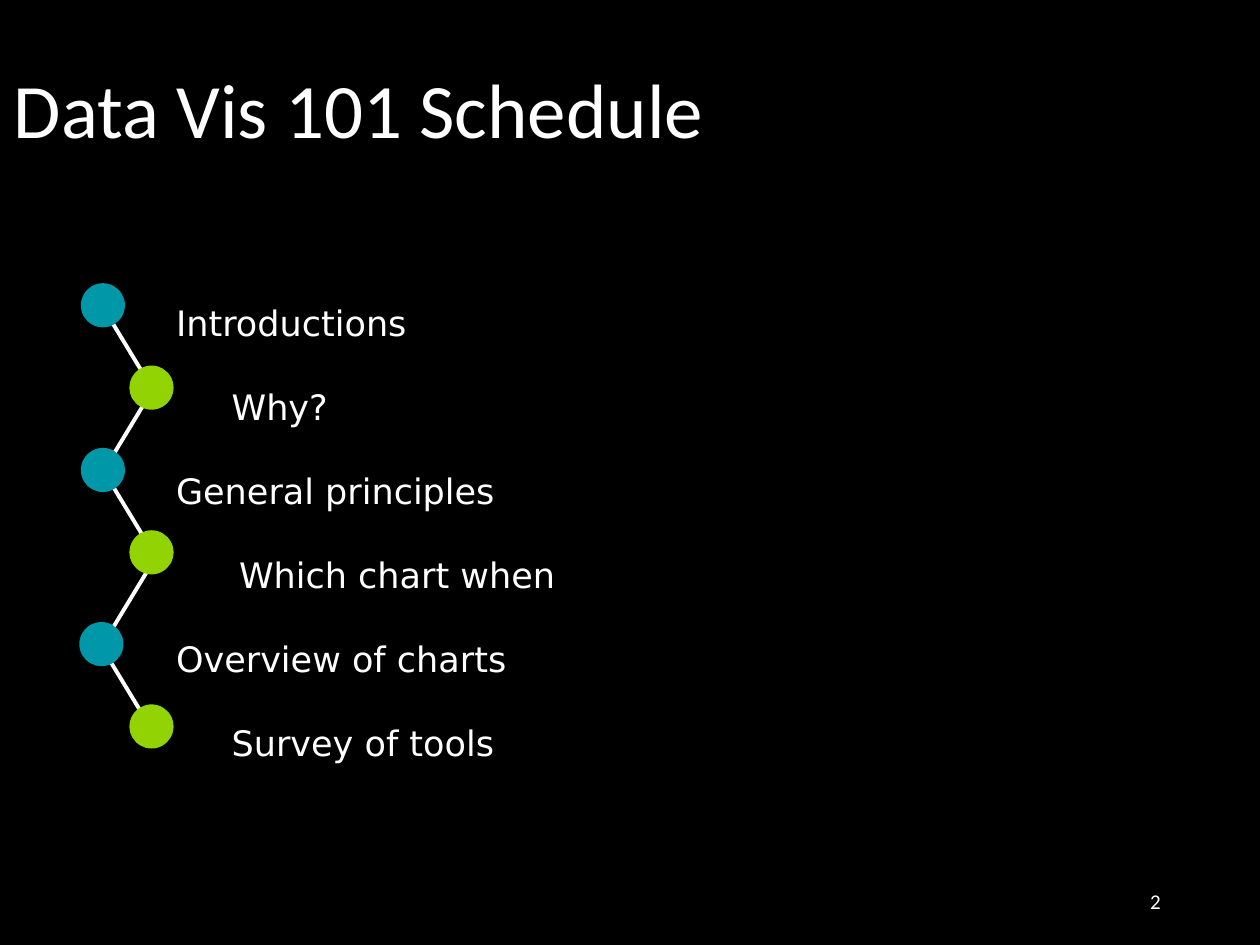
from dataclasses import dataclass

from lxml import etree
from pptx import Presentation
from pptx.dml.color import RGBColor
from pptx.enum.shapes import MSO_CONNECTOR, MSO_SHAPE
from pptx.enum.text import MSO_ANCHOR, PP_ALIGN
from pptx.oxml.ns import qn
from pptx.slide import Slide
from pptx.text.text import TextFrame, _Paragraph
from pptx.util import Cm, Pt

OVAL = MSO_SHAPE.OVAL
STRAIGHT = MSO_CONNECTOR.STRAIGHT
MIDDLE = MSO_ANCHOR.MIDDLE
RIGHT = PP_ALIGN.RIGHT

BLACK = RGBColor(0x00, 0x00, 0x00)
WHITE = RGBColor(0xFF, 0xFF, 0xFF)
TEAL = RGBColor(0x00, 0x97, 0xA9)
GREEN = RGBColor(0x92, 0xD4, 0x03)

DOT_SIZE = 0.89
LINK_WIDTH, LINK_HEIGHT = 0.97, 1.6


@dataclass(frozen=True)
class Topic:
    """One schedule entry and its dot; lengths in centimetres."""
    label: str
    indent: float
    dot_left: float
    dot_top: float
    color: RGBColor


@dataclass(frozen=True)
class Link:
    """Box of one zigzag line; lengths in centimetres."""
    left: float
    top: float


TOPICS = [
    Topic("Introductions", 0, 1.63, 5.71, TEAL),
    Topic("Why?", 1.12, 2.61, 7.37, GREEN),
    Topic("General principles", 0, 1.63, 9.03, TEAL),
    Topic("Which chart when", 1.27, 2.61, 10.69, GREEN),
    Topic("Overview of charts", 0, 1.6, 12.54, TEAL),
    Topic("Survey of tools", 1.12, 2.61, 14.2, GREEN),
]
LINKS = [
    Link(2.11, 6.25),
    Link(2.13, 7.82),
    Link(2.11, 9.53),
    Link(2.11, 11.33),
    Link(2.06, 13.06),
]


def add_text_box(slide: Slide, left: float, top: float,
                 width: float, height: float) -> TextFrame:
    box = slide.shapes.add_textbox(Cm(left), Cm(top), Cm(width), Cm(height))
    box.text_frame.word_wrap = True
    return box.text_frame


def add_run(paragraph: _Paragraph, text: str, size: float, font: str) -> None:
    run = paragraph.add_run()
    run.text = text
    run.font.size = Pt(size)
    run.font.name = font
    run.font.color.rgb = WHITE


def add_link(slide: Slide, link: Link, goes_right: bool) -> None:
    near, far = link.left, link.left + LINK_WIDTH
    start, end = (near, far) if goes_right else (far, near)
    line = slide.shapes.add_connector(
        STRAIGHT, Cm(start), Cm(link.top), Cm(end), Cm(link.top + LINK_HEIGHT))
    line.line.color.rgb = WHITE
    line.line.width = Pt(2.25)
    etree.SubElement(line._element.spPr, qn("a:effectLst"))


def add_dot(slide: Slide, topic: Topic) -> None:
    dot = slide.shapes.add_shape(
        OVAL, Cm(topic.dot_left), Cm(topic.dot_top), Cm(DOT_SIZE), Cm(DOT_SIZE))
    dot.shadow.inherit = False
    dot.fill.solid()
    dot.fill.fore_color.rgb = topic.color
    dot.line.fill.background()


def add_topic_list(slide: Slide) -> None:
    frame = add_text_box(slide, 3.3, 5.31, 19.81, 12.95)
    for index, topic in enumerate(TOPICS):
        paragraph = frame.add_paragraph() if index else frame.paragraphs[0]
        paragraph.line_spacing = 1.75
        if index:
            paragraph.space_before = Pt(6)
        if topic.indent:
            properties = paragraph._p.get_or_add_pPr()
            properties.set("marL", str(Cm(topic.indent)))
            properties.set("indent", "0")
        add_run(paragraph, topic.label, 20, "DejaVu Sans")


def main() -> None:
    presentation = Presentation()
    presentation.slide_width = Cm(25.4)
    presentation.slide_height = Cm(19.05)
    slide = presentation.slides.add_slide(presentation.slide_layouts[6])
    slide.background.fill.solid()
    slide.background.fill.fore_color.rgb = BLACK

    title = add_text_box(slide, 0.03, 0.46, 21.89, 3.68)
    title.vertical_anchor = MIDDLE
    title.paragraphs[0].line_spacing = 0.9
    add_run(title.paragraphs[0], "Data Vis 101 Schedule", 44, "Calibri")

    add_topic_list(slide)
    for index, link in enumerate(LINKS):
        add_link(slide, link, goes_right=index % 2 == 0)
    for topic in TOPICS:
        add_dot(slide, topic)

    page_number = add_text_box(slide, 17.93, 17.65, 5.72, 1.02)
    page_number.vertical_anchor = MIDDLE
    page_number.paragraphs[0].alignment = RIGHT
    add_run(page_number.paragraphs[0], "2", 12, "Calibri")

    presentation.save("out.pptx")


if __name__ == "__main__":
    main()
